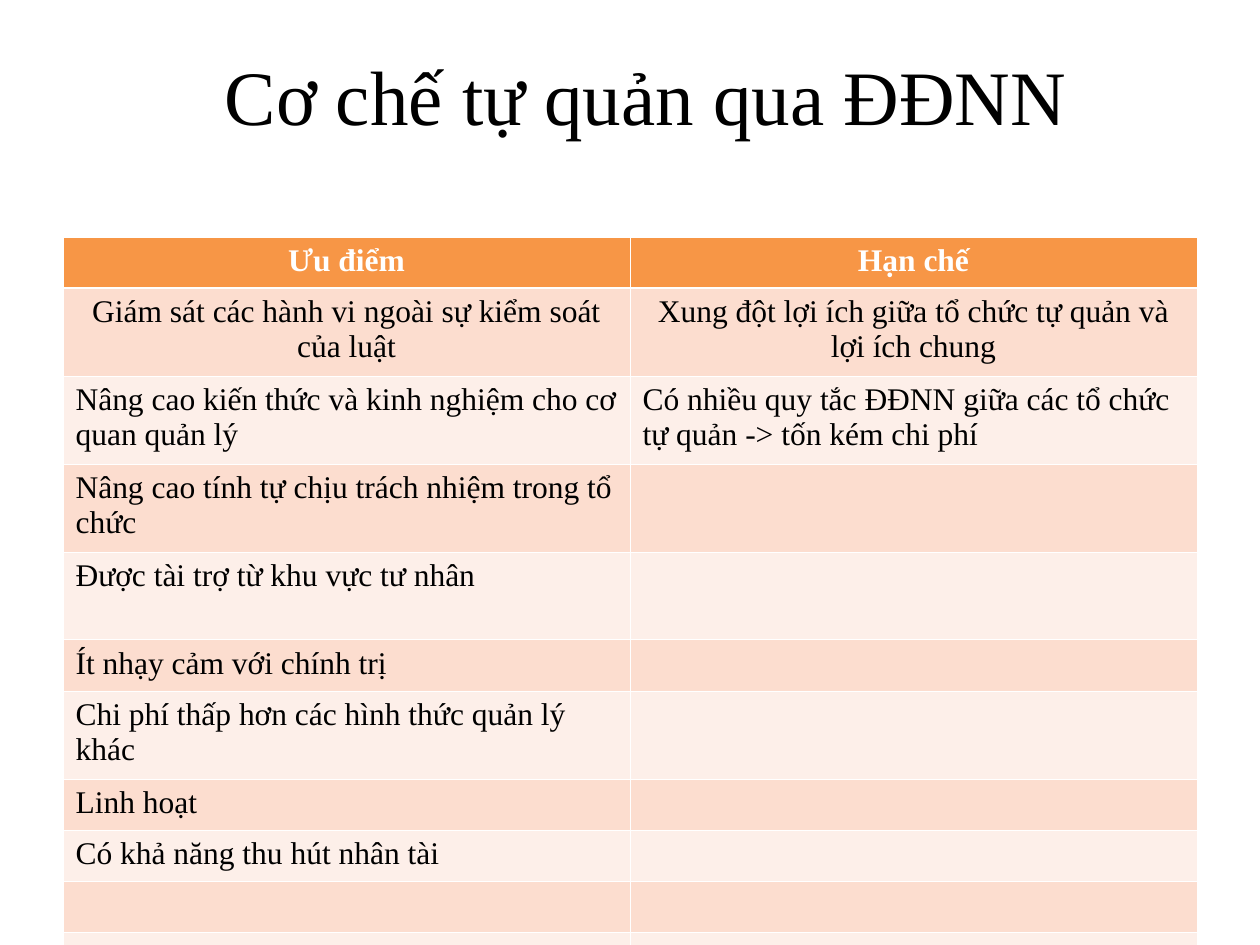
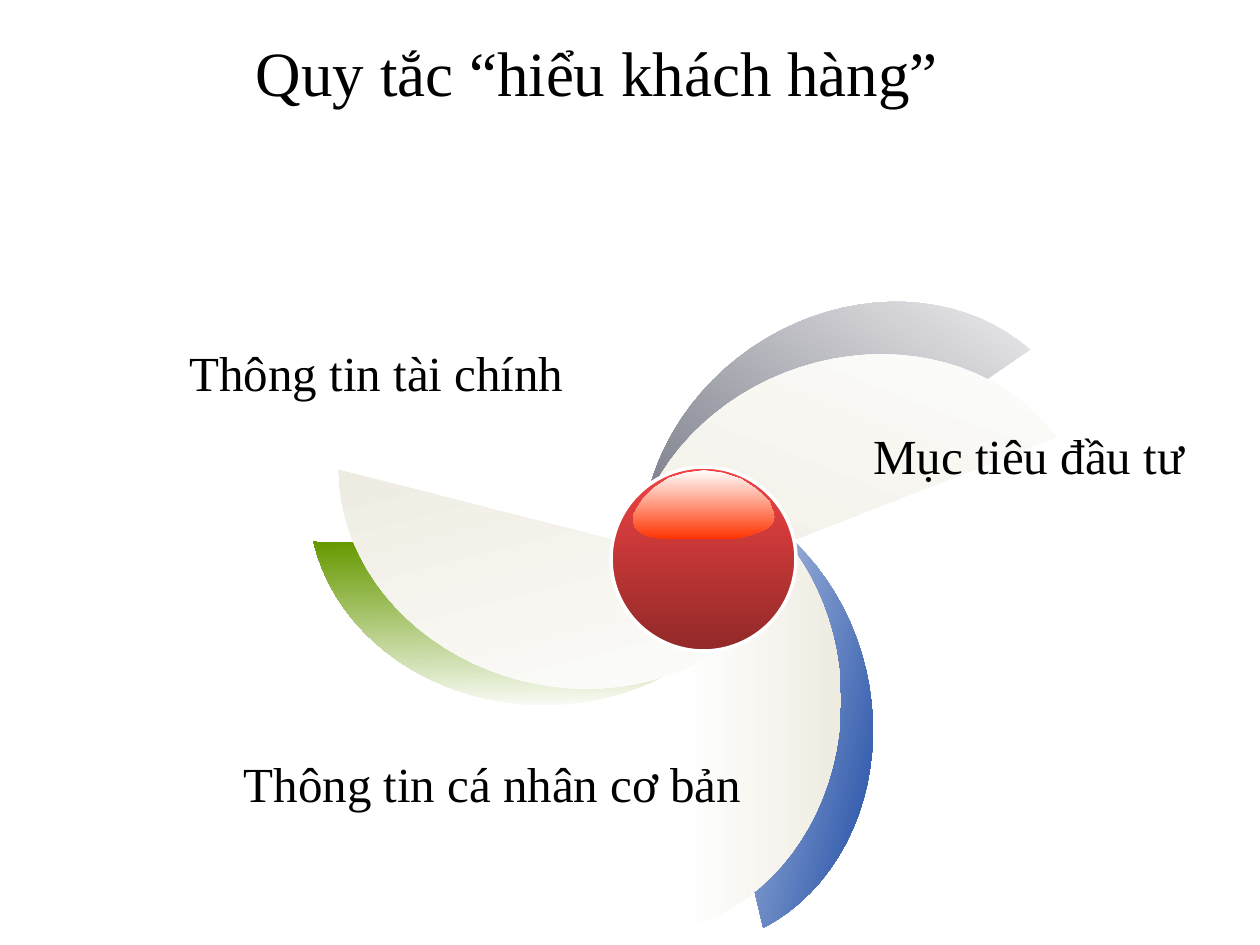
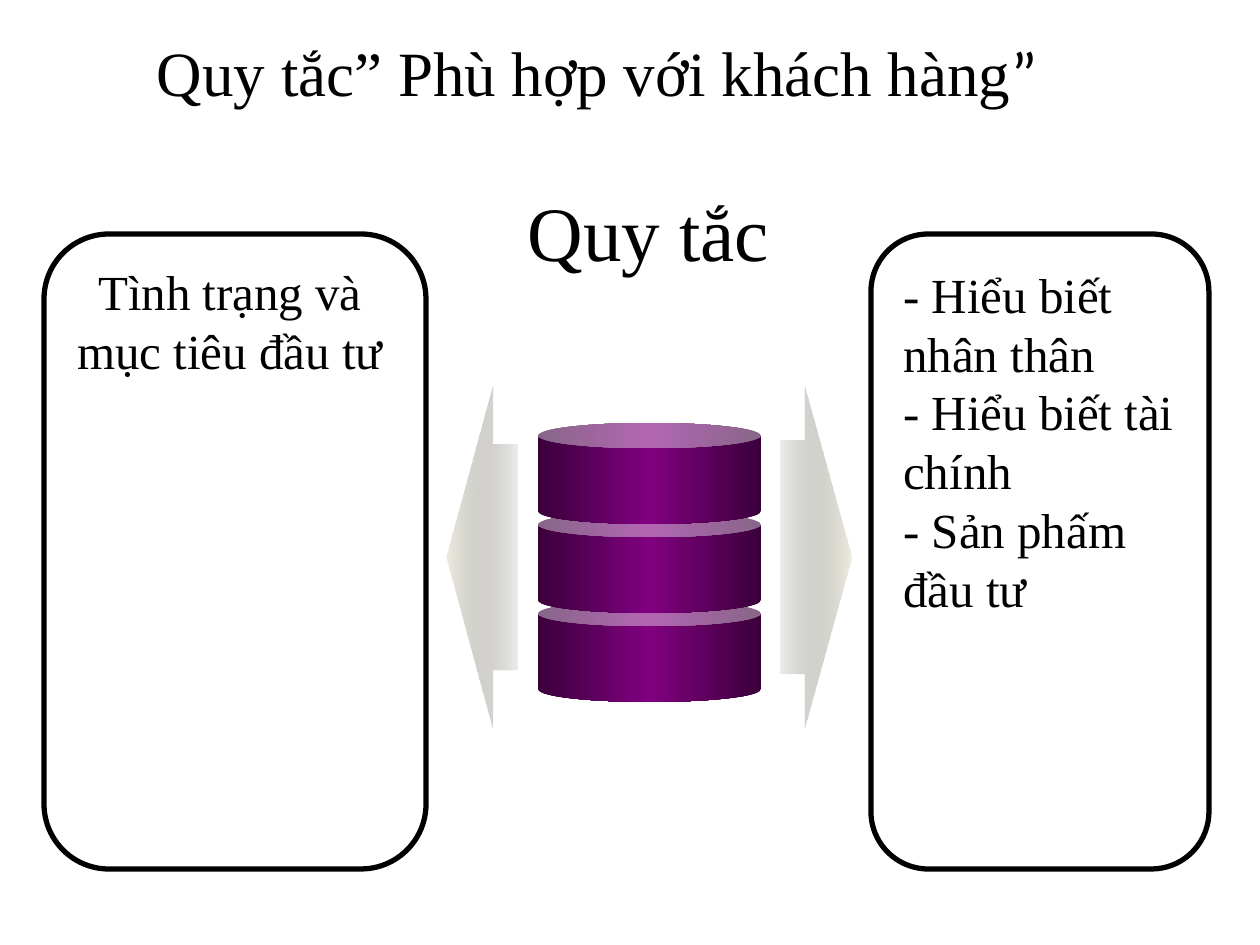
from math import acos, cos, sin

from lxml.etree import SubElement
from pptx import Presentation
from pptx.dml.color import RGBColor
from pptx.enum.shapes import MSO_SHAPE
from pptx.enum.text import MSO_ANCHOR, MSO_AUTO_SIZE, PP_ALIGN
from pptx.oxml.ns import qn
from pptx.util import Pt

EMU_PER_PX = 914400 / 126
FONT = "Times New Roman"
TITLE_ONLY = 5
COLORS = {
    "text": "000000", "white": "FFFFFF",
    "header": "F79646", "odd_row": "FCDDCF", "even_row": "FDEFE9",
    "blue": "003399", "green": "669900", "slate": "565868", "cream": "EEECE1",
    "ball_top": "F14343", "ball_bottom": "922929", "gloss": "FF3300",
    "can_edge": "3B003B", "can_middle": "800080", "arrow": "6E6D68",
}


def px(*lengths):
    return [round(length * EMU_PER_PX) for length in lengths]


def add_span(para, text, size=18, color="text", bold=False, font=FONT):
    span = para.add_run()
    span.text = text
    span.font.name = font
    span.font.size = Pt(size)
    span.font.bold = bold
    span.font.color.rgb = RGBColor.from_string(COLORS[color])


def write(frame, *lines, align=PP_ALIGN.CENTER, spacing=None, **style):
    """Fill a text frame, one paragraph a line, and return the last one."""
    for index, line in enumerate(lines):
        para = frame.add_paragraph() if index else frame.paragraphs[0]
        para.alignment = align
        if spacing:
            para.line_spacing = spacing
        add_span(para, line, **style)
    return para


def add_fill_stop(parent, position, color, alpha=100):
    stop = SubElement(parent, qn("a:gs"), pos=str(position * 1000))
    shade = SubElement(stop, qn("a:srgbClr"), val=COLORS[color])
    if alpha < 100:
        SubElement(shade, qn("a:alpha"), val=str(alpha * 1000))


def paint_gradient(shape, stops, angle):
    """Give a linear gradient whose angle does not turn with the shape."""
    shape.fill.gradient()
    gradient = shape.fill._xPr.find(qn("a:gradFill"))
    gradient.set("rotWithShape", "0")
    for child in list(gradient):
        gradient.remove(child)
    stop_list = SubElement(gradient, qn("a:gsLst"))
    for stop in stops:
        add_fill_stop(stop_list, *stop)
    SubElement(gradient, qn("a:lin"), ang=str(round(angle * 60000)), scaled="0")


def set_borders(cell, **widths):
    properties = cell._tc.get_or_add_tcPr()
    for side in "LRTB":
        width = Pt(widths.get(side, 0.45))
        line = SubElement(properties, qn(f"a:ln{side}"), w=str(width))
        solid = SubElement(line, qn("a:solidFill"))
        SubElement(solid, qn("a:srgbClr"), val=COLORS["white"])


class SlideBuilder:
    def __init__(self):
        self.deck = Presentation()
        self.deck.slide_width, self.deck.slide_height = px(1260, 945)
        self.page = None

    def start_page(self, title, area=(88, 32, 1018, 78), size=36):
        self.page = self.deck.slides.add_slide(self.deck.slide_layouts[TITLE_ONLY])
        box = self.page.shapes.title
        box.left, box.top, box.width, box.height = px(*area)
        frame = box.text_frame
        frame.auto_size = MSO_AUTO_SIZE.NONE
        frame.vertical_anchor = MSO_ANCHOR.MIDDLE
        return write(frame, title, size=size)

    def label(self, area, *lines, size=28, **style):
        frame = self.page.shapes.add_textbox(*px(*area)).text_frame
        frame.word_wrap = True
        write(frame, *lines, size=size, **style)

    def finish(self, shape, stops=None, angle=0, line=None, width=0):
        shape.shadow.inherit = False
        if stops:
            paint_gradient(shape, stops, angle)
        else:
            shape.fill.background()
        if line:
            shape.line.color.rgb = RGBColor.from_string(COLORS[line])
            shape.line.width = Pt(width)
        else:
            shape.line.fill.background()

    def preset(self, kind, area, adjustments=(), **look):
        shape = self.page.shapes.add_shape(kind, *px(*area))
        for index, value in enumerate(adjustments):
            shape.adjustments[index] = value
        self.finish(shape, **look)

    def outline(self, points, **look):
        corners = [px(*point) for point in points]
        builder = self.page.shapes.build_freeform(*corners[0], scale=1.0)
        builder.add_line_segments(corners[1:], close=True)
        shape = builder.convert_to_shape()
        self.finish(shape, **look)
        return shape

    def blade(self, left, top, turn, color):
        """Draw the part of an ellipse that lies right of a vertical chord."""
        offset, half_width, half_height, steps = 44, 203, 234, 38
        limit = acos(offset / half_width)
        angles = [limit * (2 * step / steps - 1) for step in range(steps + 1)]
        points = [(left - offset + half_width * cos(angle),
                   top + half_height * (sin(angle) + sin(limit)))
                  for angle in angles]
        stops = [(0, "white"), (100, color)]
        shape = self.outline(points, stops=stops, angle=(360 - turn) % 360)
        shape.rotation = turn

    def table(self, area, heights, rows):
        grid = self.page.shapes.add_table(len(heights), 2, *px(*area)).table
        for index, height in enumerate(heights):
            grid.rows[index].height = px(height)[0]
            texts = rows[index] if index < len(rows) else ()
            fill = "odd_row" if index % 2 else "even_row"
            thick = {0: {"B": 1.47}, 1: {"T": 1.47}}.get(index, {})
            for column, cell in enumerate(grid.rows[index].cells):
                set_borders(cell, **thick)
                cell.fill.solid()
                cell.fill.fore_color.rgb = RGBColor.from_string(
                    COLORS[fill if index else "header"])
                if column < len(texts):
                    write(cell.text_frame, texts[column],
                          align=PP_ALIGN.LEFT if index > 1 else PP_ALIGN.CENTER,
                          color="text" if index else "white", bold=index == 0)


def build_self_regulation(slide):
    slide.start_page("Cơ chế tự quản qua ĐĐNN", area=(126, 5, 1040, 179), size=44)
    short, tall = 51, 88
    heights = [short] + [tall] * 4 + [short, tall] + [short] * 4
    slide.table((63, 237, 1134, sum(heights)), heights, [
        ("Ưu điểm", "Hạn chế"),
        ("Giám sát các hành vi ngoài sự kiểm soát của luật",
         "Xung đột lợi ích giữa tổ chức tự quản và lợi ích chung"),
        ("Nâng cao kiến thức và kinh nghiệm cho cơ quan quản lý",
         "Có nhiều quy tắc ĐĐNN giữa các tổ chức tự quản -> tốn kém chi phí"),
        ("Nâng cao tính tự chịu trách nhiệm trong tổ chức",),
        ("Được tài trợ từ khu vực tư nhân",),
        ("Ít nhạy cảm với chính trị",),
        ("Chi phí thấp hơn các hình thức quản lý khác",),
        ("Linh hoạt",),
        ("Có khả năng thu hút nhân tài",),
    ])


def build_know_customer(slide):
    slide.start_page("Quy tắc “hiểu khách hàng”")

    # Coloured blades, then the cream ones over them
    for blade in [(709, 459, 346.8, "blue"), (461, 397, 91, "green"),
                  (717, 185, 235.5, "slate"), (682, 472, 0, "cream"),
                  (461, 375, 104.3, "cream"), (735, 218, 248.7, "cream")]:
        slide.blade(*blade)

    # Glossy ball at the hub
    slide.preset(MSO_SHAPE.OVAL, (611, 467, 185, 184), angle=90,
                 stops=[(0, "ball_top"), (100, "ball_bottom")],
                 line="white", width=2)
    slide.outline(
        [(772, 509), (775, 517), (772, 524), (766, 529), (756, 533), (743, 537),
         (730, 539), (718, 539), (683, 539), (670, 539), (658, 538), (648, 536),
         (640, 532), (635, 527), (633, 520), (634, 514), (638, 507), (643, 499),
         (654, 488), (669, 478), (685, 473), (704, 470), (723, 473), (741, 479),
         (756, 489), (769, 501)],
        stops=[(0, "white"), (100, "gloss")], angle=90)

    # Labels
    slide.label((110, 319, 533, 89), "Thông tin tài chính", spacing=1.3)
    slide.label((832, 408, 393, 154), "Mục tiêu đầu tư", spacing=1.2)
    slide.label((223, 736, 539, 154), "Thông tin cá nhân cơ bản", spacing=1.2)


def build_suitability(slide):
    title = slide.start_page("Quy tắc” Phù hợp với khách hàng")
    add_span(title, "”", size=36, font="Calibri")
    slide.label((401, 178, 495, 106), "Quy tắc", size=44)

    # Stack of cans, lowest first
    can_stops = [(0, "can_edge"), (50, "can_middle"), (100, "can_edge")]
    for level in range(3):
        slide.preset(MSO_SHAPE.CAN, (538, 601 - 89 * level, 223, 101), [0.25],
                     stops=can_stops)

    # Arrows to both sides
    slide.preset(MSO_SHAPE.LEFT_ARROW, (446, 386, 71, 343), [0.66, 0.65],
                 stops=[(0, "cream"), (100, "arrow", 12)])
    slide.preset(MSO_SHAPE.RIGHT_ARROW, (780, 386, 71, 343), [0.68, 0.66],
                 stops=[(0, "arrow", 12), (100, "cream")])

    # Framed texts
    for left, width in [(44, 382), (871, 338)]:
        slide.preset(MSO_SHAPE.ROUNDED_RECTANGLE, (left, 234, width, 635), [0.17],
                     line="text", width=3)
    slide.label((54, 255, 352, 273), "Tình trạng và mục tiêu đầu tư")
    slide.label((891, 258, 328, 484), "- Hiểu biết nhân thân",
                "- Hiểu biết tài chính", "- Sản phấm đầu tư", align=PP_ALIGN.LEFT)


def main():
    slide = SlideBuilder()
    build_self_regulation(slide)
    build_know_customer(slide)
    build_suitability(slide)
    slide.deck.save("out.pptx")


if __name__ == "__main__":
    main()
